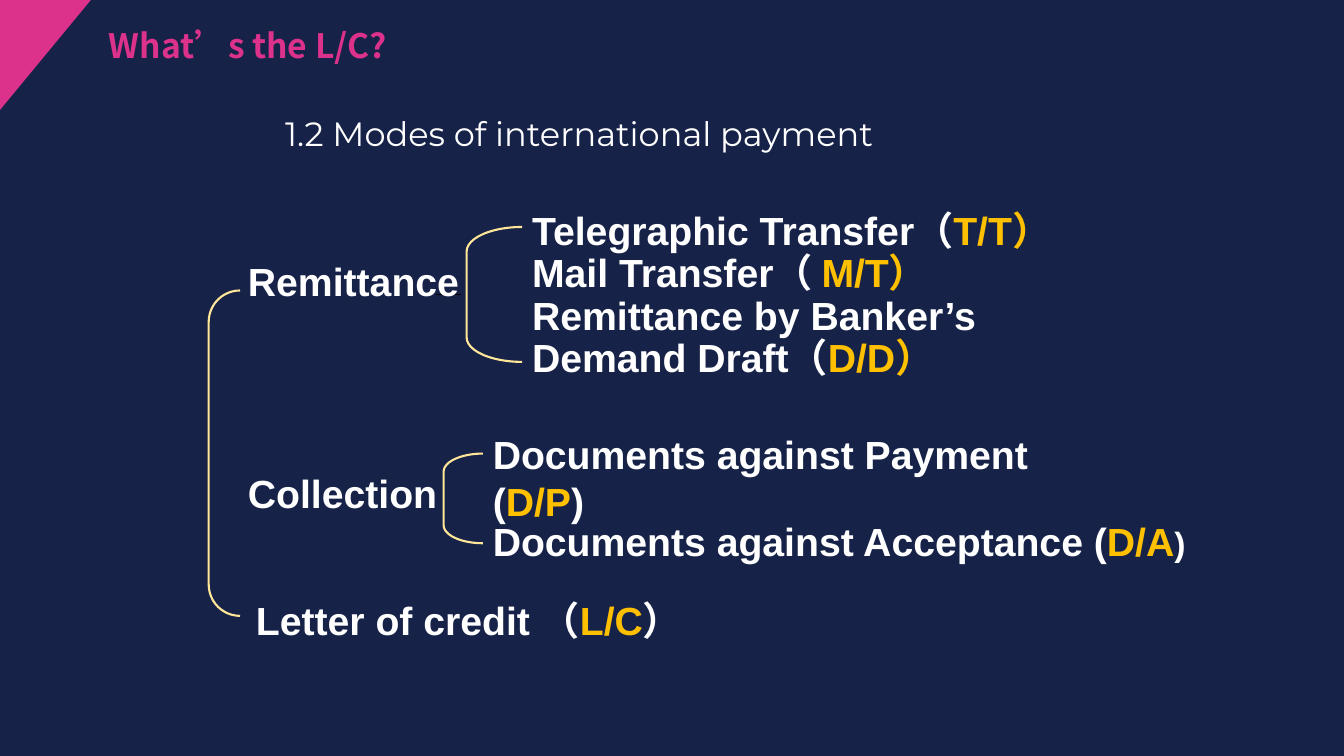
from dataclasses import dataclass
from pptx import Presentation
from pptx.dml.color import RGBColor
from pptx.enum.shapes import MSO_CONNECTOR, MSO_SHAPE
from pptx.enum.text import MSO_ANCHOR, MSO_AUTO_SIZE, PP_ALIGN
from pptx.oxml.ns import qn
from pptx.util import Cm, Pt
from lxml.etree import SubElement


@dataclass(frozen=True)
class Theme:
    back: str = "162248"
    pink: str = "DC328B"
    white: str = "FFFFFF"
    gold: str = "FFC000"
    cream: str = "FFE699"
    black: str = "000000"
    head: int = 24
    main: int = 28


theme = Theme()


def paint(hue):
    return RGBColor.from_string(hue)


def style(font, name, size, hue, bold):
    font.name, font.size, font.bold = name, Pt(size), bold
    font.color.rgb = paint(hue)


def place(shape, left, top, width, height):
    shape.left, shape.top = Cm(left), Cm(top)
    shape.width, shape.height = Cm(width), Cm(height)


def setup(frame, wrap=True):
    frame.auto_size = MSO_AUTO_SIZE.NONE
    frame.word_wrap = wrap
    frame.vertical_anchor = MSO_ANCHOR.TOP


def header(slide, x, y):
    wide, high = 2.77, 2.29
    mid = (wide - high) / 2
    flag = slide.shapes.add_shape(
        MSO_SHAPE.ISOSCELES_TRIANGLE, Cm(x - mid), Cm(y + mid), Cm(wide), Cm(high))
    flag.adjustments[0] = 0
    flag.rotation = 90
    flag.shadow.inherit = False
    flag.fill.solid()
    flag.fill.fore_color.rgb = paint(theme.pink)
    flag.line.fill.background()

    title = slide.shapes.title
    place(title, x + 2.49, y + 0.51, 7.82, 1.27)
    setup(title.text_frame, False)
    title.text_frame.text = "What’s the L/C?"
    para = title.text_frame.paragraphs[0]
    para.alignment = PP_ALIGN.LEFT
    style(para.runs[0].font, "Noto Sans CJK SC", theme.head, theme.pink, True)

    body = slide.placeholders[1]
    place(body, x + 6.93, y + 2.84, 26, 2.06)
    setup(body.text_frame)
    body.text_frame.text = "1.2 Modes of international payment"
    para = body.text_frame.paragraphs[0]
    props = para._p.get_or_add_pPr()
    props.set("marL", "0")
    props.set("indent", "0")
    SubElement(props, qn("a:buNone"))
    para.space_before = Pt(0)
    para.line_spacing = 0.9
    style(para.runs[0].font, "Montserrat", theme.head, theme.white, False)


def label(slide, x, y, width, height, lines, space=1.0):
    box = slide.shapes.add_textbox(Cm(x), Cm(y), Cm(width), Cm(height))
    frame = box.text_frame
    setup(frame)
    for row, line in enumerate(lines):
        para = frame.add_paragraph() if row else frame.paragraphs[0]
        para.line_spacing = space
        for spot, part in enumerate(line.split("|")):
            run = para.add_run()
            run.text = part
            hue = theme.gold if spot == 1 else theme.white
            style(run.font, "Arial", theme.main, hue, True)
    return frame


def brace(slide, x, y, width, height, curve):
    shape = slide.shapes.add_shape(
        MSO_SHAPE.LEFT_BRACKET, Cm(x), Cm(y), Cm(width), Cm(height))
    shape.adjustments[0] = curve
    shape.shadow.inherit = False
    shape.fill.background()
    shape.line.color.rgb = paint(theme.cream)
    shape.line.width = Pt(1.5)


def tree(slide, x, y):
    for left, top, width, height, curve in (
            (0, 2.11, 0.79, 8.2, 1),
            (6.5, 0.51, 1.4, 3.4, 0.44),
            (5.92, 6.22, 0.99, 2.26, 0.46)):
        brace(slide, x + left, y + top, width, height, curve)

    dash = slide.shapes.add_connector(
        MSO_CONNECTOR.STRAIGHT, Cm(x + 5.72), Cm(y + 2.21), Cm(x + 6.35), Cm(y + 2.21))
    dash.line.color.rgb = paint(theme.black)
    dash.line.width = Pt(0.75)
    SubElement(dash._element.spPr, qn("a:effectLst"))

    for left, top, width, text in (
            (0.74, 1.14, 6.15, "Remittance"),
            (0.74, 6.5, 5.84, "Collection"),
            (0.94, 9.7, 14.07, "Letter of credit （|L/C|）"),
            (6.91, 5.51, 16.54, "Documents against Payment (|D/P|)")):
        label(slide, x + left, y + top, width, 1.45, [text])

    last = label(slide, x + 6.91, y + 7.7, 18.67, 1.45,
                 ["Documents against Acceptance (|D/A|)"])
    last.paragraphs[0].runs[-1].font.size = Pt(theme.head)

    label(slide, x + 7.9, y, 13.79, 5.33, [
        "Telegraphic Transfer（|T/T）",
        "Mail Transfer（ |M/T）",
        "Remittance by Banker’s Demand Draft（|D/D）"], 0.9)


def main():
    deck = Presentation()
    deck.slide_width, deck.slide_height = Cm(33.87), Cm(19.05)
    slide = deck.slides.add_slide(deck.slide_layouts[1])
    slide.background.fill.solid()
    slide.background.fill.fore_color.rgb = paint(theme.back)
    header(slide, 0, 0)
    tree(slide, 5.26, 5.21)
    deck.save("out.pptx")


if __name__ == "__main__":
    main()
